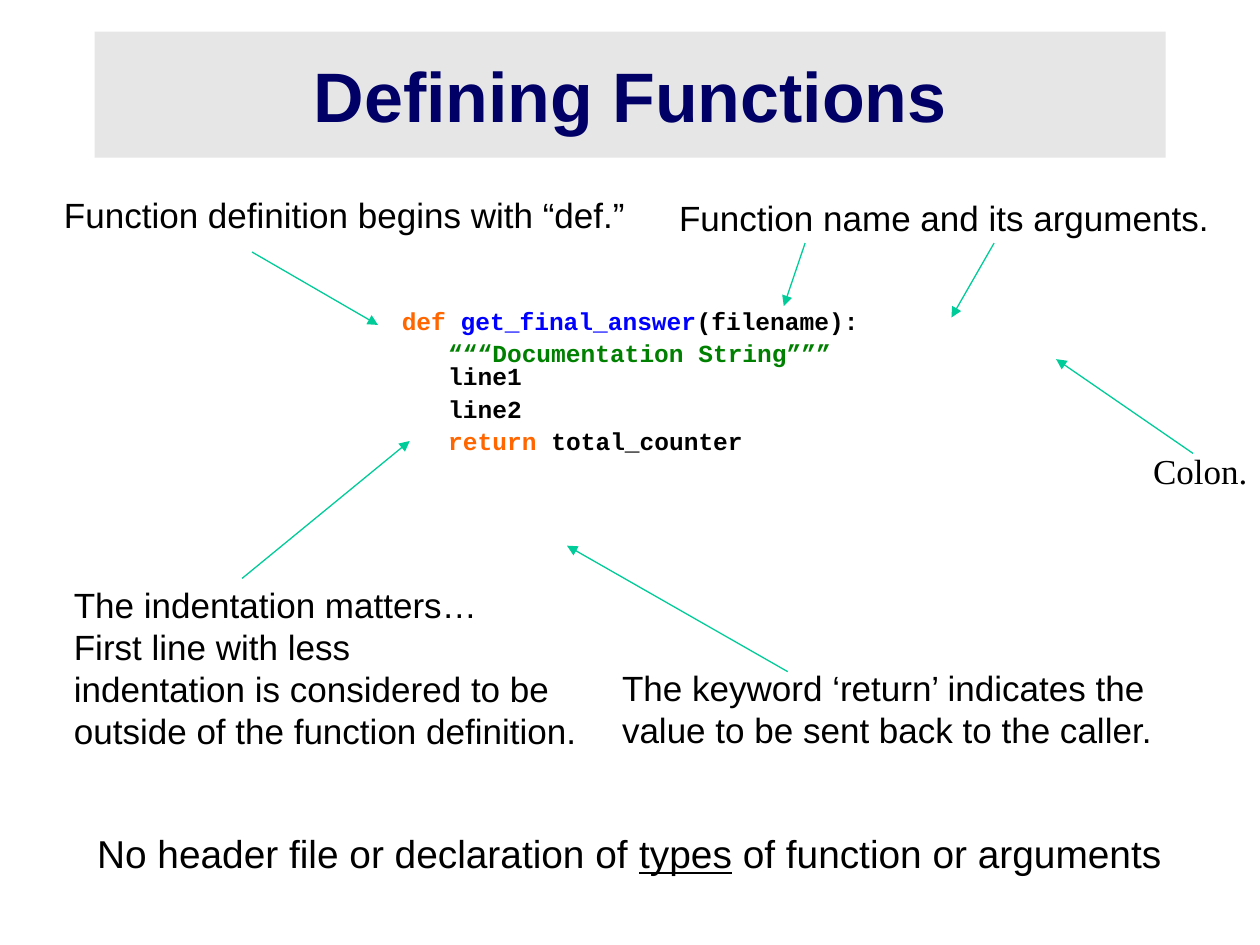
"""Build the slide that explains how a Python function is defined."""
from typing import NamedTuple

from lxml.etree import SubElement
from pptx import Presentation
from pptx.dml.color import RGBColor
from pptx.enum.shapes import MSO_CONNECTOR
from pptx.enum.text import MSO_ANCHOR, MSO_AUTO_SIZE, PP_ALIGN
from pptx.oxml.ns import qn
from pptx.util import Cm, Pt

BLACK, NAVY, GREY = "000000", "000066", "E6E6E6"
ORANGE, BLUE, GREEN, TEAL = "FF6600", "0000FF", "008000", "00CC99"


class Box(NamedTuple):
    left: float
    top: float
    width: float
    height: float


class Run(NamedTuple):
    text: str
    color: str = BLACK
    underline: bool = False


class Note(NamedTuple):
    box: Box
    lines: list[str]
    font: str = "Arial"
    align: PP_ALIGN = PP_ALIGN.LEFT
    wrap: bool = False


class Arrow(NamedTuple):
    start: tuple[float, float]
    end: tuple[float, float]


NOTES = [
    Note(Box(1.24, 11.63, 10.64, 3.66), [
        "The indentation matters…",
        "First line with less\nindentation is considered to be\noutside of the function definition.",
    ]),
    Note(Box(1.04, 3.78, 11.84, 1.09), ["Function definition begins with “def.”"]),
    Note(Box(13.44, 3.84, 11.2, 1.09), ["Function name and its arguments."]),
    Note(Box(12.29, 13.31, 11.28, 1.96),
         ["The keyword ‘return’ indicates the\nvalue to be sent back to the caller."]),
    Note(Box(20.45, 8.94, 4.95, 1.09), ["Colon."], "Times New Roman", PP_ALIGN.RIGHT, True),
]
ARROWS = [
    Arrow((4.88, 11.66), (8.26, 8.89)),
    Arrow((5.08, 5.08), (7.62, 6.55)),
    Arrow((16.23, 4.9), (15.8, 6.17)),
    Arrow((20.04, 4.9), (19.18, 6.4)),
    Arrow((15.88, 13.54), (11.43, 11)),
    Arrow((24.05, 9.14), (21.29, 7.24)),
]
CODE = [
    [Run("def ", ORANGE), Run("get_final_answer", BLUE), Run("(filename):")],
    [Run(" “““Documentation String”””\n", GREEN), Run(" line1")],
    [Run(" line2")],
    [Run(" "), Run("return", ORANGE), Run(" total_counter")],
]
CODE_MARGINS = [2.54, 3.18, 3.18, 3.18]
SUMMARY = [[Run("No header file or declaration of "), Run("types", underline=True),
            Run(" of function or arguments")]]


def rgb(color: str) -> RGBColor:
    """Turn a hex string into a colour."""
    return RGBColor.from_string(color)


def place(shape, box: Box) -> None:
    """Move and size a shape in centimetres."""
    shape.left, shape.top, shape.width, shape.height = (Cm(length) for length in box)


def write_text(shape, lines: list[list[Run]], *, size: float, font: str = "Arial",
               bold: bool = False, align: PP_ALIGN = PP_ALIGN.LEFT, wrap: bool = True,
               anchor: MSO_ANCHOR = MSO_ANCHOR.TOP, spacing: float = 1.0,
               space_before: float = 0, margins: list[float] | None = None) -> None:
    """Write paragraphs of formatted runs into a shape."""
    frame = shape.text_frame
    frame.auto_size = MSO_AUTO_SIZE.NONE
    frame.word_wrap = wrap
    frame.vertical_anchor = anchor
    for index, runs in enumerate(lines):
        paragraph = frame.add_paragraph() if index else frame.paragraphs[0]
        paragraph.alignment = align
        paragraph.line_spacing = spacing
        paragraph.space_before = Pt(space_before if index else 0)
        if margins:
            paragraph._p.get_or_add_pPr().set("marL", str(Cm(margins[index])))
        for item in runs:
            for part, text in enumerate(item.text.split("\n")):
                if part:
                    paragraph.add_line_break()
                if not text:
                    continue
                run = paragraph.add_run()
                run.text = text
                run.font.name = font
                run.font.size = Pt(size)
                run.font.bold = bold
                run.font.underline = item.underline
                run.font.color.rgb = rgb(item.color)


def add_text(slide, box: Box, lines: list[list[Run]], **text_format) -> None:
    """Add a text box with formatted paragraphs."""
    shape = slide.shapes.add_textbox(*(Cm(length) for length in box))
    write_text(shape, lines, **text_format)


def add_arrow(slide, arrow: Arrow) -> None:
    """Add a thin line with a triangle at its end."""
    points = (Cm(length) for length in arrow.start + arrow.end)
    connector = slide.shapes.add_connector(MSO_CONNECTOR.STRAIGHT, *points)
    connector.line.color.rgb = rgb(TEAL)
    connector.line.width = Pt(0.75)
    SubElement(connector.line._get_or_add_ln(), qn("a:tailEnd"), type="triangle")
    SubElement(connector._element.spPr, qn("a:effectLst"))


def main() -> None:
    """Build and save the presentation."""
    presentation = Presentation()
    presentation.slide_width, presentation.slide_height = Cm(25.4), Cm(19.05)
    slide = presentation.slides.add_slide(presentation.slide_layouts[5])

    title = slide.shapes.title
    place(title, Box(1.91, 0.64, 21.59, 2.54))
    title.fill.solid()
    title.fill.fore_color.rgb = rgb(GREY)
    write_text(title, [[Run("Defining Functions", NAVY)]], size=40, bold=True,
               align=PP_ALIGN.CENTER, anchor=MSO_ANCHOR.MIDDLE)

    add_text(slide, Box(0.84, 16.71, 23.7, 2.11), SUMMARY, size=22.2,
             align=PP_ALIGN.CENTER, spacing=0.9)
    add_text(slide, Box(5.31, 6.15, 17.98, 3.81), CODE, size=14, font="Courier New",
             bold=True, spacing=0.8, space_before=5, margins=CODE_MARGINS)
    for note in NOTES:
        add_text(slide, note.box, [[Run(line)] for line in note.lines], size=20,
                 font=note.font, align=note.align, wrap=note.wrap)
    for arrow in ARROWS:
        add_arrow(slide, arrow)

    presentation.save("out.pptx")


if __name__ == "__main__":
    main()
